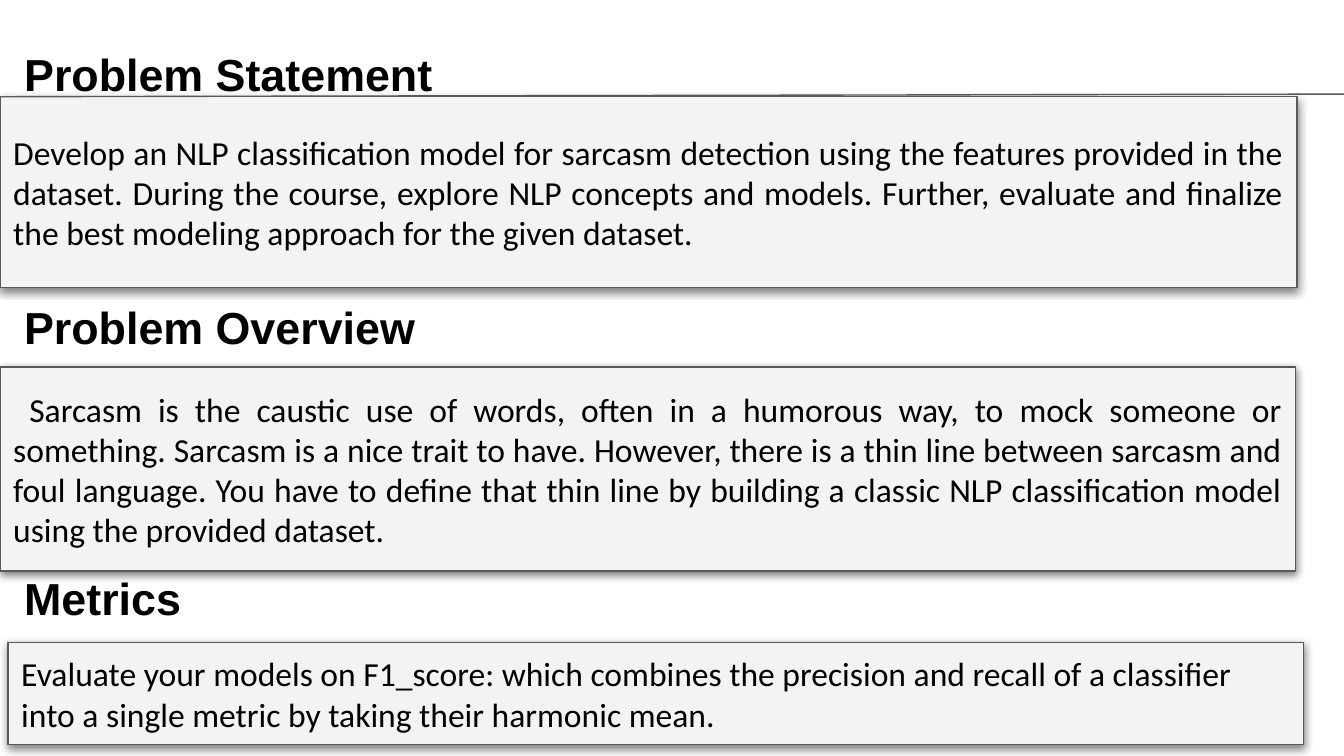
from lxml import etree
from pptx import Presentation
from pptx.dml.color import RGBColor
from pptx.enum.shapes import MSO_CONNECTOR, MSO_SHAPE
from pptx.enum.text import MSO_ANCHOR, MSO_AUTO_SIZE, PP_ALIGN
from pptx.oxml.ns import qn
from pptx.util import Inches, Pt

RECT = MSO_SHAPE.RECTANGLE
STRAIGHT = MSO_CONNECTOR.STRAIGHT
MIDDLE = MSO_ANCHOR.MIDDLE
NO_FIT = MSO_AUTO_SIZE.NONE
LEFT, JUSTIFY = PP_ALIGN.LEFT, PP_ALIGN.JUSTIFY

INSET = 0.1
HEADING_INSET = 0.18
HEADING_W, HEADING_H = 3.97, 0.34


def color(value):
    return RGBColor.from_string(value)


def write(shape, text, font, size, bold, align, left_inset):
    tf = shape.text_frame
    tf.text = text
    tf.word_wrap = True
    tf.auto_size = NO_FIT
    tf.vertical_anchor = MIDDLE
    tf.margin_left = Inches(left_inset)
    tf.margin_top = tf.margin_right = tf.margin_bottom = Inches(INSET)
    p = tf.paragraphs[0]
    p.alignment = align
    r = p.runs[0]
    r.font.name = font
    r.font.size = Pt(size)
    r.font.bold = bold
    r.font.color.rgb = color("000000")


prs = Presentation()
prs.slide_width = Inches(10)
prs.slide_height = prs.slide_width * 9 // 16
s = prs.slides.add_slide(prs.slide_layouts[5])

sections = [
    ("Problem Statement", 0.38, 0, 0.72, 9.65, 1.42, JUSTIFY, 0,
     "Develop an NLP classification model for sarcasm detection using the "
     "features provided in the dataset. During the course, explore NLP "
     "concepts and models. Further, evaluate and finalize the best modeling "
     "approach for the given dataset."),
    ("Problem Overview", 2.26, 0, 2.73, 9.64, 1.52, JUSTIFY, 0.12,
     "Sarcasm is the caustic use of words, often in a humorous way, to mock "
     "someone or something. Sarcasm is a nice trait to have. However, there "
     "is a thin line between sarcasm and foul language. You have to define "
     "that thin line by building a classic NLP classification model using "
     "the provided dataset."),
    ("Metrics", 4.28, 0.06, 4.78, 9.64, 0.76, LEFT, 0,
     "Evaluate your models on F1_score: which combines the precision and "
     "recall of a classifier into a single metric by taking their harmonic "
     "mean."),
]

for i, (title, title_y, x, y, w, h, align, indent, body) in enumerate(sections):
    box = s.shapes.add_shape(RECT, Inches(x), Inches(y), Inches(w), Inches(h))
    box.fill.solid()
    box.fill.fore_color.rgb = color("F3F3F3")
    box.line.color.rgb = color("595959")
    box.line.width = Pt(0.75)
    box.shadow.inherit = False
    effects = box._element.spPr.find(qn("a:effectLst"))
    shadow = etree.SubElement(effects, qn("a:outerShdw"), blurRad=str(Pt(4.5)),
                              dist=str(Pt(1.5)), dir="5400000", algn="bl",
                              rotWithShape="0")
    black = etree.SubElement(shadow, qn("a:srgbClr"), val="000000")
    etree.SubElement(black, qn("a:alpha"), val="50000")
    write(box, body, "Calibri", 18, False, align, INSET)
    pPr = box.text_frame.paragraphs[0]._p.get_or_add_pPr()
    pPr.set("indent", str(Inches(indent)))

    heading = s.shapes.title if i == 0 else s.shapes.add_textbox(0, 0, 0, 0)
    heading.left, heading.top = Inches(0), Inches(title_y)
    heading.width, heading.height = Inches(HEADING_W), Inches(HEADING_H)
    write(heading, title, "Arial", 24, True, LEFT, HEADING_INSET)

rule = s.shapes.add_connector(STRAIGHT, 0, Inches(0.72), prs.slide_width, Inches(0.7))
rule.line.color.rgb = color("595959")
rule.line.width = Pt(0.75)
etree.SubElement(rule._element.spPr, qn("a:effectLst"))

prs.save("out.pptx")
